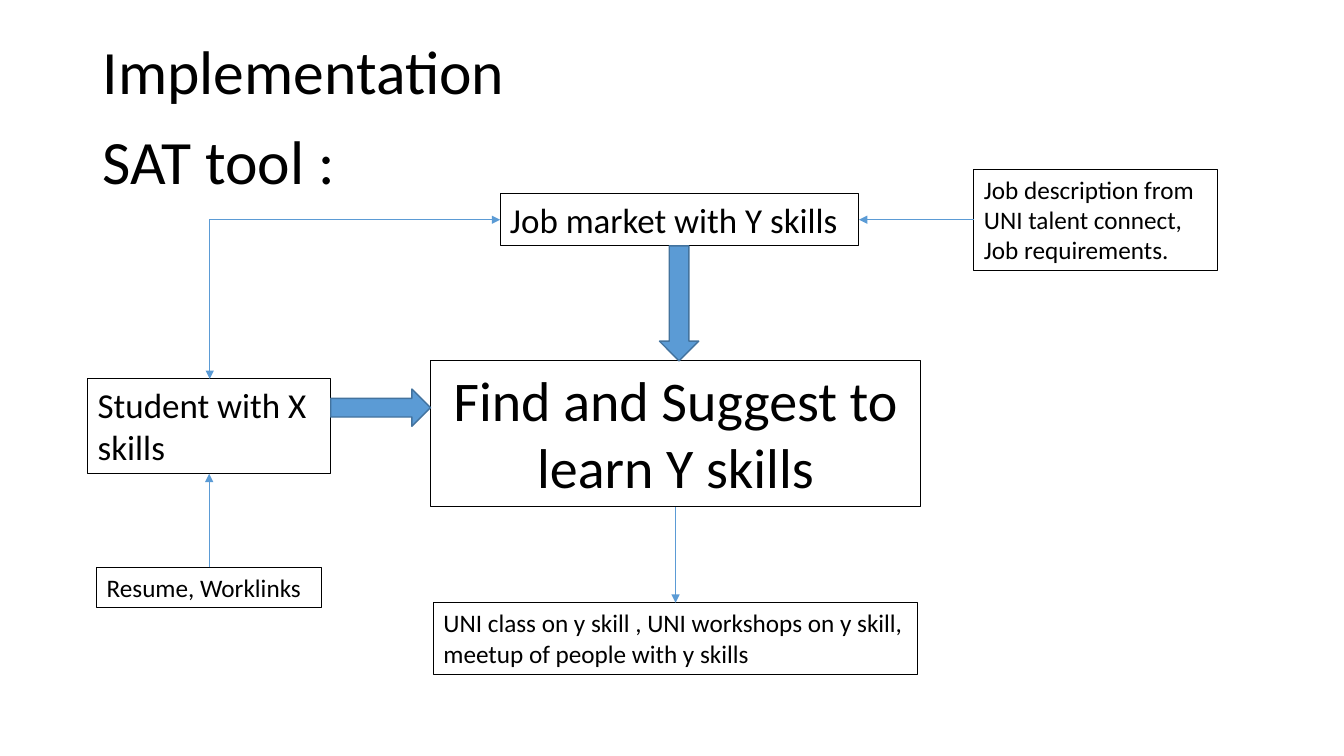
"""Build the Implementation slide: flow diagram of the SAT skill matching tool."""
from lxml.etree import SubElement
from pptx import Presentation
from pptx.dml.color import RGBColor
from pptx.enum.shapes import MSO_CONNECTOR as CONNECTOR, MSO_SHAPE as SHAPE
from pptx.enum.text import MSO_ANCHOR as ANCHOR, MSO_AUTO_SIZE as AUTO_SIZE, PP_ALIGN as ALIGN
from pptx.oxml.ns import qn
from pptx.util import Pt

PX = 9144
BLACK = RGBColor(0x00, 0x00, 0x00)
BLUE = RGBColor(0x5B, 0x9B, 0xD5)
DARK_BLUE = RGBColor(0x43, 0x73, 0x9E)
TOP, LEFT, BOTTOM, RIGHT = range(4)


def write(shape, text, size, align=ALIGN.LEFT, anchor=ANCHOR.TOP, spacing=1.0, fit=AUTO_SIZE.NONE):
    frame = shape.text_frame
    frame.text = text
    frame.word_wrap = True
    frame.auto_size = fit
    frame.vertical_anchor = anchor
    for paragraph in frame.paragraphs:
        paragraph.alignment = align
        paragraph.line_spacing = spacing
        paragraph.font.size = Pt(size)
        paragraph.font.name = "Calibri"
        paragraph.font.color.rgb = BLACK


def style_connector(connector, ends):
    connector.line.color.rgb = BLUE
    connector.line.width = Pt(0.5)
    properties = connector._element.spPr
    for end in ends:
        SubElement(properties.find(qn("a:ln")), qn(end), type="triangle")
    SubElement(properties, qn("a:effectLst"))


presentation = Presentation()
presentation.slide_width = 1333 * PX
presentation.slide_height = 750 * PX
slide = presentation.slides.add_slide(presentation.slide_layouts[5])
shapes = slide.shapes

title = shapes.title
title.left, title.top, title.width, title.height = 92 * PX, 1 * PX, 1150 * PX, 145 * PX
subtitle = shapes.add_textbox(92 * PX, 91 * PX, 1150 * PX, 145 * PX)
for heading, text in ((title, "Implementation"), (subtitle, "SAT tool :")):
    write(heading, text, 44, anchor=ANCHOR.MIDDLE, spacing=0.9)

boxes = {}
for name, bounds, text, size, align in (
    ("student", (87, 376, 241, 94), "Student with X skills", 25, ALIGN.LEFT),
    ("market", (496, 192, 356, 52), "Job market with Y skills", 25, ALIGN.LEFT),
    ("resume", (96, 563, 223, 40), "Resume, Worklinks", 18, ALIGN.LEFT),
    ("suggest", (427, 358, 486, 145), "Find and Suggest to learn Y skills", 40, ALIGN.CENTER),
    ("jobs", (966, 168, 242, 100),
     "Job description from UNI talent connect,\nJob requirements.", 18, ALIGN.LEFT),
    ("classes", (430, 598, 480, 71),
     "UNI class on y skill , UNI workshops on y skill, meetup of people with y skills", 18, ALIGN.LEFT),
):
    box = shapes.add_textbox(*(length * PX for length in bounds))
    box.line.color.rgb = BLACK
    box.line.width = Pt(0.75)
    write(box, text, size, align=align, fit=AUTO_SIZE.SHAPE_TO_FIT_TEXT)
    boxes[name] = box

for source, source_side, target, target_side in (
    ("resume", TOP, "student", BOTTOM),
    ("jobs", LEFT, "market", RIGHT),
    ("suggest", BOTTOM, "classes", TOP),
):
    connector = shapes.add_connector(CONNECTOR.STRAIGHT, 0, 0, 0, 0)
    connector.begin_connect(boxes[source], source_side)
    connector.end_connect(boxes[target], target_side)
    style_connector(connector, ["a:tailEnd"])

elbow = shapes.add_connector(CONNECTOR.ELBOW, 431 * PX, 441 * PX, 273 * PX, 153 * PX)
elbow._element.spPr.find(qn("a:prstGeom")).set("prst", "bentConnector2")
elbow._element.spPr.find(qn("a:xfrm")).set("rot", "5400000")
style_connector(elbow, ["a:headEnd", "a:tailEnd"])

for kind, bounds in ((SHAPE.RIGHT_ARROW, (328, 386, 99, 37)), (SHAPE.DOWN_ARROW, (654, 244, 39, 114))):
    arrow = shapes.add_shape(kind, *(length * PX for length in bounds))
    arrow.shadow.inherit = False
    arrow.fill.solid()
    arrow.fill.fore_color.rgb = BLUE
    arrow.line.color.rgb = DARK_BLUE
    arrow.line.width = Pt(1)

presentation.save("out.pptx")
